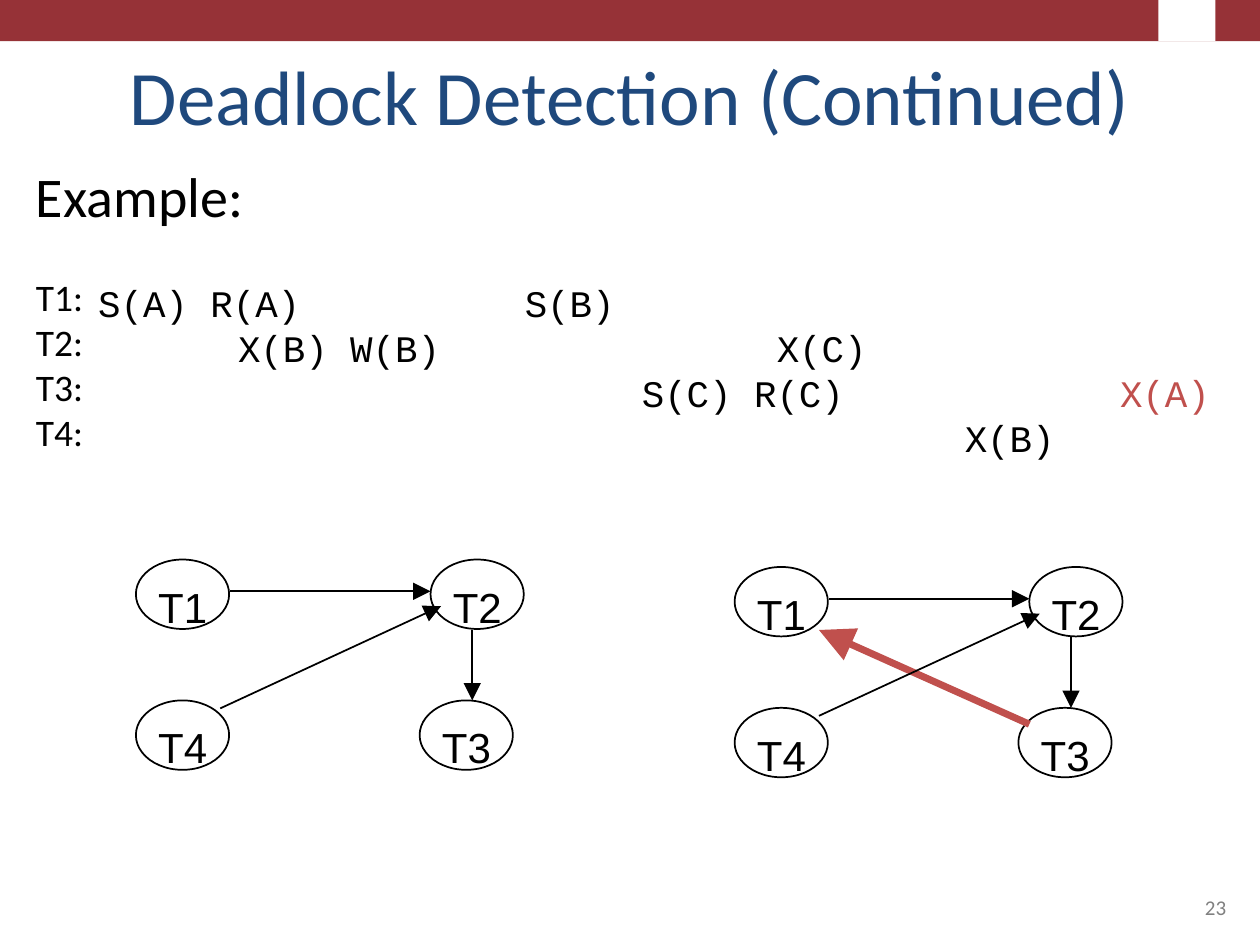
from dataclasses import dataclass

from lxml import etree
from pptx import Presentation
from pptx.dml.color import RGBColor
from pptx.enum.shapes import MSO_CONNECTOR, MSO_SHAPE
from pptx.enum.text import MSO_ANCHOR, MSO_AUTO_SIZE, PP_ALIGN
from pptx.oxml.ns import qn
from pptx.util import Cm, Pt

RECT, OVAL = MSO_SHAPE.RECTANGLE, MSO_SHAPE.OVAL
STRAIGHT = MSO_CONNECTOR.STRAIGHT
TOP, BOTTOM = MSO_ANCHOR.TOP, MSO_ANCHOR.BOTTOM
NO_FIT = MSO_AUTO_SIZE.NONE
LEFT, CENTER, RIGHT = PP_ALIGN.LEFT, PP_ALIGN.CENTER, PP_ALIGN.RIGHT


@dataclass(frozen=True)
class Theme:
    band: str = "963237"
    title: str = "1F497D"
    ink: str = "000000"
    accent: str = "C0504D"
    muted: str = "808080"
    paper: str = "FFFFFF"
    sans: str = "Calibri"
    mono: str = "Courier New"
    label: str = "Arial"
    title_size: float = 44
    lead_size: float = 32
    label_size: float = 24
    schedule_size: float = 21.4
    number_size: float = 12


T = Theme()

TITLE = "Deadlock Detection (Continued)"
LEAD = "Example:"
NUMBER = "23"

SCHEDULE = [
    ("T1:", [(1.98, "S(A) R(A)", T.ink), (10.58, "S(B)", T.ink)]),
    ("T2:", [(4.8, "X(B) W(B)", T.ink), (15.66, "X(C)", T.ink)]),
    ("T3:", [(12.94, "S(C) R(C)", T.ink), (22.58, "X(A)", T.accent)]),
    ("T4:", [(19.45, "X(B)", T.ink)]),
]
STEP_TOP, ROW_PITCH, CHAR_W = 5.64, 0.91, 0.46

NODE_W, NODE_H = 1.88, 1.4
NODES = {"T1": (0, 0), "T2": (5.94, 0), "T4": (0, 2.84), "T3": (5.72, 2.84)}
T1_T2 = (1.9, 0.64, 5.94, 0.64, T.ink, 1)
T2_T3 = (6.78, 1.42, 6.78, 2.84, T.ink, 1)
T3_T1 = (5.94, 3.17, 1.7, 1.27, T.accent, 4)
T4_T2 = (1.7, 3, 6.15, 0.94, T.ink, 1)
GRAPHS = [
    (2.74, 11.28, [T1_T2, T2_T3, T4_T2]),
    (14.81, 11.43, [T1_T2, T2_T3, T3_T1, T4_T2]),
]


def rgb(color):
    return RGBColor.from_string(color)


def place(sp, x, y, w, h):
    sp.left, sp.top, sp.width, sp.height = Cm(x), Cm(y), Cm(w), Cm(h)


def style(r, font, size, color):
    r.font.name, r.font.size = font, Pt(size)
    r.font.color.rgb = rgb(color)


def write(sp, text, font, size, color, align, anchor, wrap=True):
    tf = sp.text_frame
    tf.auto_size, tf.word_wrap = NO_FIT, wrap
    tf.vertical_anchor = anchor
    tf.text = text
    p = tf.paragraphs[0]
    p.alignment = align
    p.space_before = Pt(0)
    style(p.runs[0], font, size, color)
    return p


def add_bar(s, x, w, color):
    sp = s.shapes.add_shape(RECT, Cm(x), 0, Cm(w), Cm(0.83))
    sp.shadow.inherit = False
    sp.fill.solid()
    sp.fill.fore_color.rgb = rgb(color)
    sp.line.fill.background()


def plain_paragraph(p):
    pPr = p._p.get_or_add_pPr()
    pPr.set("marL", "0")
    pPr.set("indent", "0")
    etree.SubElement(pPr, qn("a:buNone"))


def add_step(s, text, x, y, color):
    box = s.shapes.add_textbox(Cm(x), Cm(y), Cm(len(text) * CHAR_W), Cm(ROW_PITCH))
    tf = box.text_frame
    tf.margin_left = tf.margin_right = tf.margin_top = tf.margin_bottom = 0
    write(box, text, T.mono, T.schedule_size, color, LEFT, TOP, wrap=False)


def add_schedule(s, tf):
    for i, (name, steps) in enumerate(SCHEDULE):
        p = tf.add_paragraph()
        p.text = name
        plain_paragraph(p)
        p.line_spacing = Pt(25.7)
        p.space_before = Pt(0 if i else 26)
        style(p.runs[0], T.sans, T.schedule_size, T.ink)
        for x, step, color in steps:
            add_step(s, step, x, STEP_TOP + i * ROW_PITCH, color)


def add_node(s, name, x, y):
    sp = s.shapes.add_shape(OVAL, Cm(x), Cm(y), Cm(NODE_W), Cm(NODE_H))
    sp.shadow.inherit = False
    sp.fill.background()
    sp.line.color.rgb = rgb(T.ink)
    sp.line.width = Pt(1)
    box = s.shapes.add_textbox(Cm(x + 0.2), Cm(y + 0.31), Cm(1.45), Cm(1.24))
    write(box, name, T.label, T.label_size, T.ink, LEFT, TOP, wrap=False)


def add_arrow(s, x1, y1, x2, y2, color, width):
    c = s.shapes.add_connector(STRAIGHT, Cm(x1), Cm(y1), Cm(x2), Cm(y2))
    c.line.color.rgb = rgb(color)
    c.line.width = Pt(width)
    ln = c.line._get_or_add_ln()
    etree.SubElement(ln, qn("a:tailEnd"), type="triangle", w="lg", len="lg")
    etree.SubElement(c._element.spPr, qn("a:effectLst"))


def main():
    prs = Presentation()
    prs.slide_width, prs.slide_height = Cm(25.4), Cm(19.05)
    s = prs.slides.add_slide(prs.slide_layouts[1])

    add_bar(s, 0, 25.4, T.band)
    add_bar(s, 23.35, 1.15, T.paper)

    title, body = s.placeholders
    place(title, 1.27, 0.76, 22.86, 2.21)
    write(title, TITLE, T.sans, T.title_size, T.title, CENTER, BOTTOM)

    place(body, 0.47, 3.12, 24.9, 5.6)
    p = write(body, LEAD, T.sans, T.lead_size, T.ink, LEFT, TOP)
    plain_paragraph(p)
    add_schedule(s, body.text_frame)

    for x, y, arrows in GRAPHS:
        for name, (dx, dy) in NODES.items():
            add_node(s, name, x + dx, y + dy)
        for x1, y1, x2, y2, color, width in arrows:
            add_arrow(s, x + x1, y + y1, x + x2, y + y2, color, width)

    number = s.shapes.add_textbox(Cm(18.2), Cm(17.35), Cm(6.77), Cm(1.32))
    write(number, NUMBER, T.sans, T.number_size, T.muted, RIGHT, BOTTOM)

    prs.save("out.pptx")


if __name__ == "__main__":
    main()
